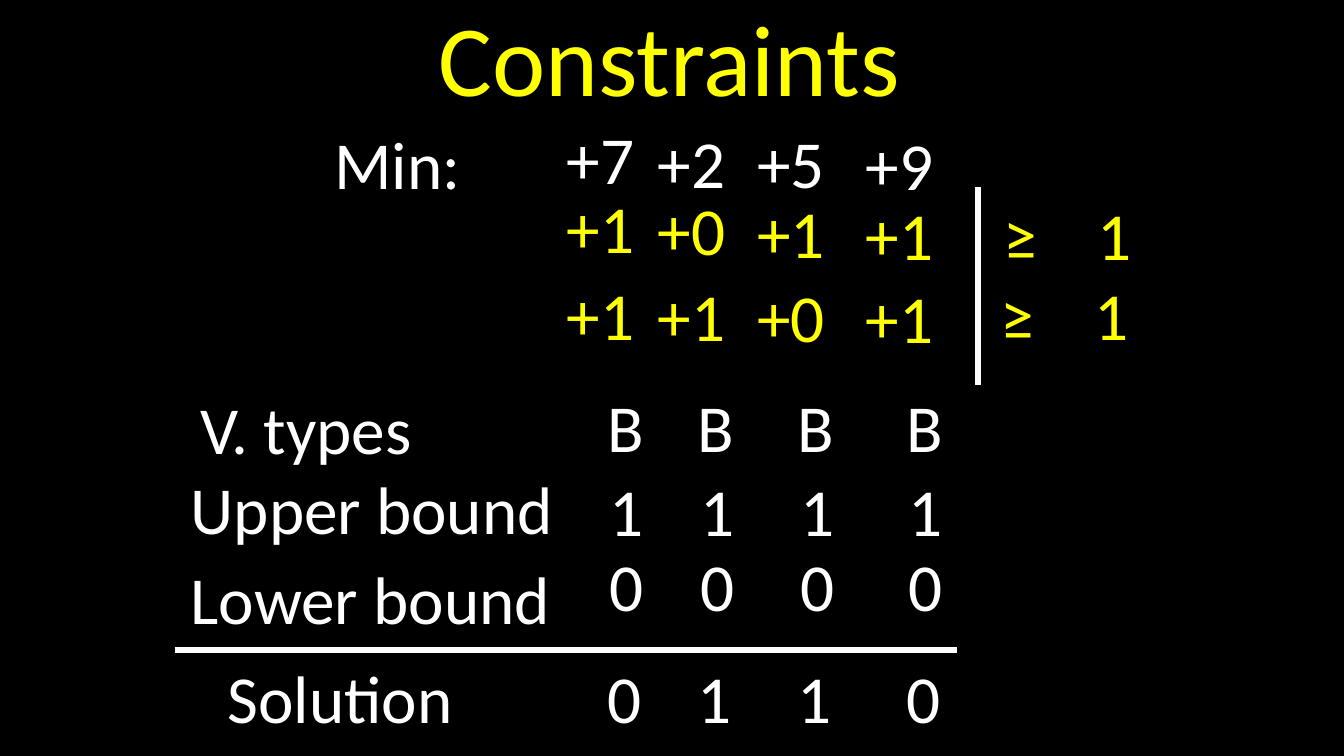
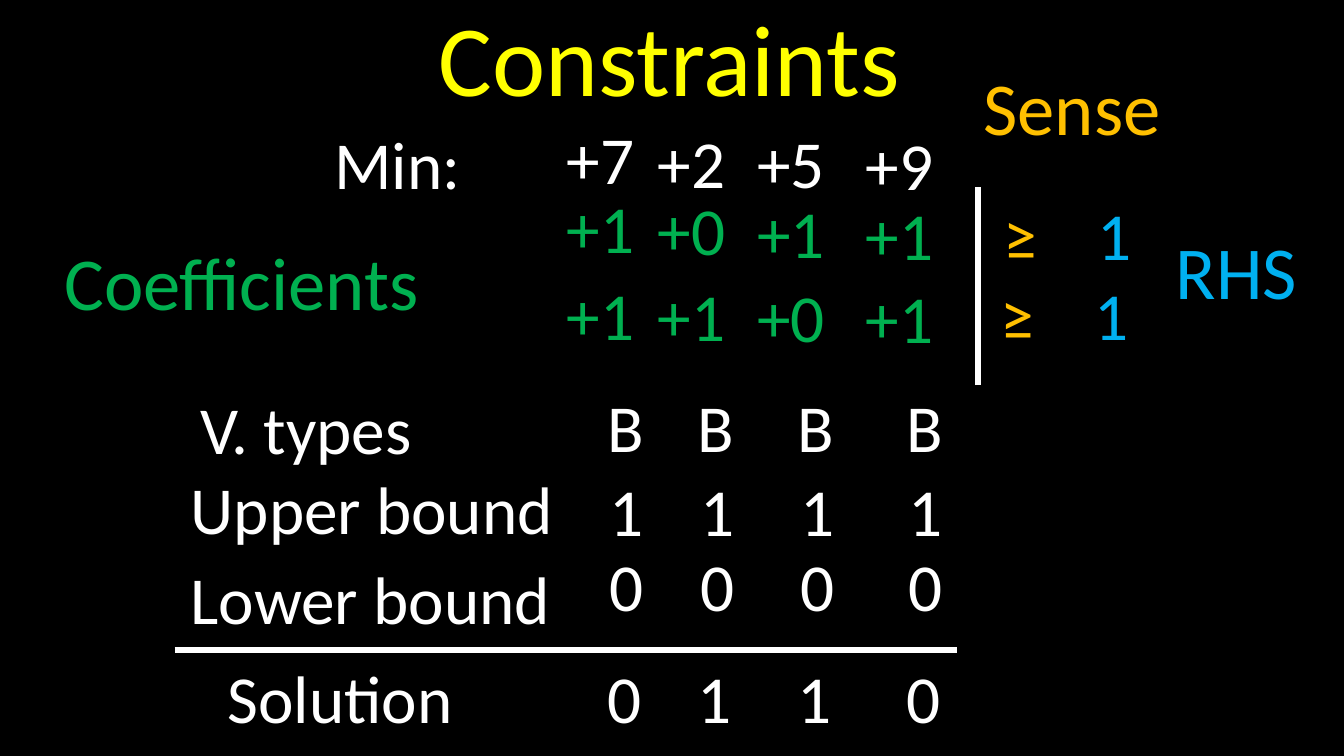
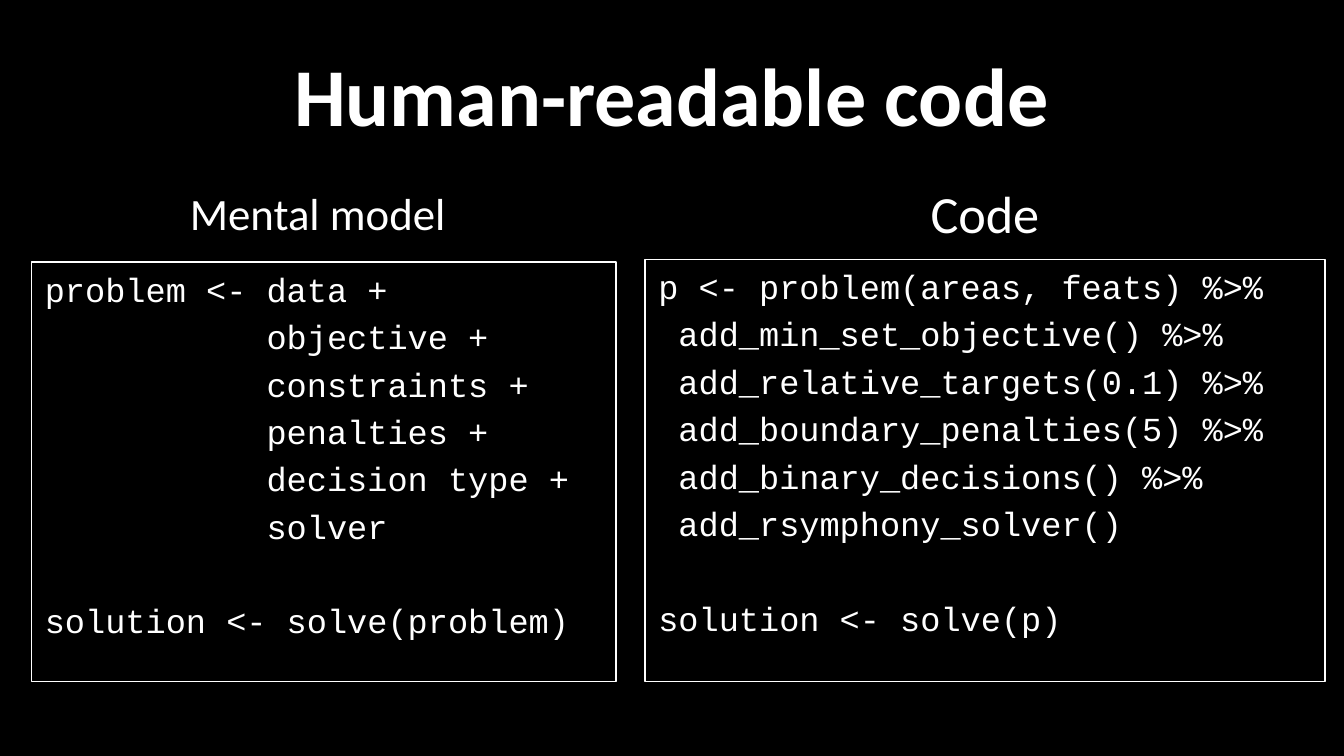
from lxml.etree import SubElement
from pptx import Presentation
from pptx.dml.color import RGBColor
from pptx.enum.shapes import MSO_CONNECTOR, MSO_SHAPE
from pptx.enum.text import MSO_ANCHOR, MSO_AUTO_SIZE, PP_ALIGN
from pptx.oxml.ns import qn
from pptx.util import Pt

PX = 4572
HUES = {
    "black": "000000",
    "white": "FFFFFF",
    "yellow": "FFFF00",
    "green": "00B050",
    "gold": "FFC000",
    "blue": "00B0F0",
}
COLS = (824, 959, 1107, 1269)
LABELS = (
    ("Min:", 478, 172, 252),
    ("V. types", 278, 567, 358),
    ("Upper bound", 264, 686, 584),
    ("Lower bound", 264, 820, 580),
    ("Solution", 319, 967, 380),
)
COSTS = (("+7", 165), ("+2", 170), ("+5", 170), ("+9", 174))
LIMITS = (
    (("+1", 268), ("+0", 270), ("+1", 275), ("+1", 278)),
    (("+1", 397), ("+1", 398), ("+0", 400), ("+1", 401)),
)
ROWS = (
    ("BBBB", 60, 564, 96),
    ("1111", 64, 688, 92),
    ("0000", 64, 800, 92),
    ("0110", 60, 967, 92),
)
MODEL = (
    "problem <- data +",
    "           objective +",
    "           constraints +",
    "           penalties +",
    "           decision type +",
    "           solver",
    "solution <- solve(problem)",
)
CODE = (
    "p <- problem(areas, feats) %>%",
    " add_min_set_objective() %>%",
    " add_relative_targets(0.1) %>%",
    " add_boundary_penalties(5) %>%",
    " add_binary_decisions() %>%",
    " add_rsymphony_solver()",
    "solution <- solve(p)",
)


def tint(name):
    return RGBColor.from_string(HUES[name])


class Deck:
    face = "Calibri"
    mono = "Courier New"

    def __init__(self, wide, high):
        self.prs = Presentation()
        self.prs.slide_width = wide * PX
        self.prs.slide_height = high * PX

    def page(self):
        self.slide = self.prs.slides.add_slide(self.prs.slide_layouts[6])
        fill = self.slide.background.fill
        fill.solid()
        fill.fore_color.rgb = tint("black")

    def style(self, para, face, size, hue):
        font = para.font
        font.name = face
        font.size = Pt(size)
        font.color.rgb = tint(hue)

    def text(self, words, x, y, w, h=142, size=36, hue="white", wrap=False):
        box = self.slide.shapes.add_textbox(x * PX, y * PX, w * PX, h * PX)
        frame = box.text_frame
        frame.word_wrap = wrap
        frame.auto_size = MSO_AUTO_SIZE.SHAPE_TO_FIT_TEXT
        para = frame.paragraphs[0]
        para.text = words
        self.style(para, self.face, size, hue)
        return para

    def bound(self, x, y, w, sense, value):
        para = self.text("≥\t", x, y, w, hue=sense, wrap=True)
        stops = SubElement(para._p.get_or_add_pPr(), qn("a:tabLst"))
        para._p.pPr.insert(0, stops)
        SubElement(stops, qn("a:tab"), pos=str(140 * PX), algn="l")
        run = para.add_run()
        run.text = "1"
        if value != sense:
            run.font.color.rgb = tint(value)

    def line(self, x, y, to_x, to_y):
        rule = self.slide.shapes.add_connector(
            MSO_CONNECTOR.STRAIGHT, x * PX, y * PX, to_x * PX, to_y * PX)
        rule.line.color.rgb = tint("white")
        rule.line.width = Pt(3)
        SubElement(rule._element.spPr, qn("a:effectLst"))

    def title(self, words):
        para = self.text(words, 100, 45, 1800, 188, 44, wrap=True)
        para.alignment = PP_ALIGN.CENTER
        para.font.bold = True
        frame = self.slide.shapes[-1].text_frame
        frame.auto_size = MSO_AUTO_SIZE.NONE
        frame.vertical_anchor = MSO_ANCHOR.MIDDLE

    def code(self, lines, x, y, w, h):
        box = self.slide.shapes.add_shape(
            MSO_SHAPE.RECTANGLE, x * PX, y * PX, w * PX, h * PX)
        box.shadow.inherit = False
        box.fill.background()
        box.line.color.rgb = tint("white")
        box.line.width = Pt(0.75)
        frame = box.text_frame
        frame.word_wrap = True
        frame.vertical_anchor = MSO_ANCHOR.TOP
        for n, words in enumerate(lines):
            para = frame.add_paragraph() if n else frame.paragraphs[0]
            para.text = words
            para.alignment = PP_ALIGN.LEFT
            if n:
                para.space_before = Pt(29 if n == len(lines) - 1 else 3.8)
            self.style(para, self.mono, 18, "white")

    def model(self, coef, sense, value):
        self.page()
        for words, x, y, w in LABELS:
            self.text(words, x, y, w)
        for row, hue in ((COSTS, "white"), *((row, coef) for row in LIMITS)):
            for x, (words, y) in zip(COLS, row):
                self.text(words, x, y, 150, hue=hue, wrap=True)
        for row, shift, y, w in ROWS:
            for x, words in zip(COLS, row):
                self.text(words, x + shift, y, w)
        self.bound(1474, 278, 266, sense, value)
        self.bound(1469, 397, 244, sense, value)
        self.line(1455, 573, 1455, 278)
        self.line(260, 967, 1424, 967)
        self.text("Constraints", 633, -16, 734, 202, 54, "yellow")


def main():
    deck = Deck(2000, 1125)

    deck.model("yellow", "yellow", "yellow")

    deck.model("green", "gold", "blue")
    deck.text("Coefficients", 76, 341, 576, 154, 40, "green")
    deck.text("RHS", 1730, 325, 222, 154, 40, "blue")
    deck.text("Sense", 1444, 81, 306, 154, 40, "gold")

    deck.page()
    deck.title("Human-readable code")
    deck.text("Mental model", 263, 266, 440, 100, 24)
    deck.text("Code", 1365, 260, 204, 114, 28)
    deck.code(MODEL, 47, 390, 870, 624)
    deck.code(CODE, 960, 386, 1012, 628)

    deck.prs.save("out.pptx")


if __name__ == "__main__":
    main()
